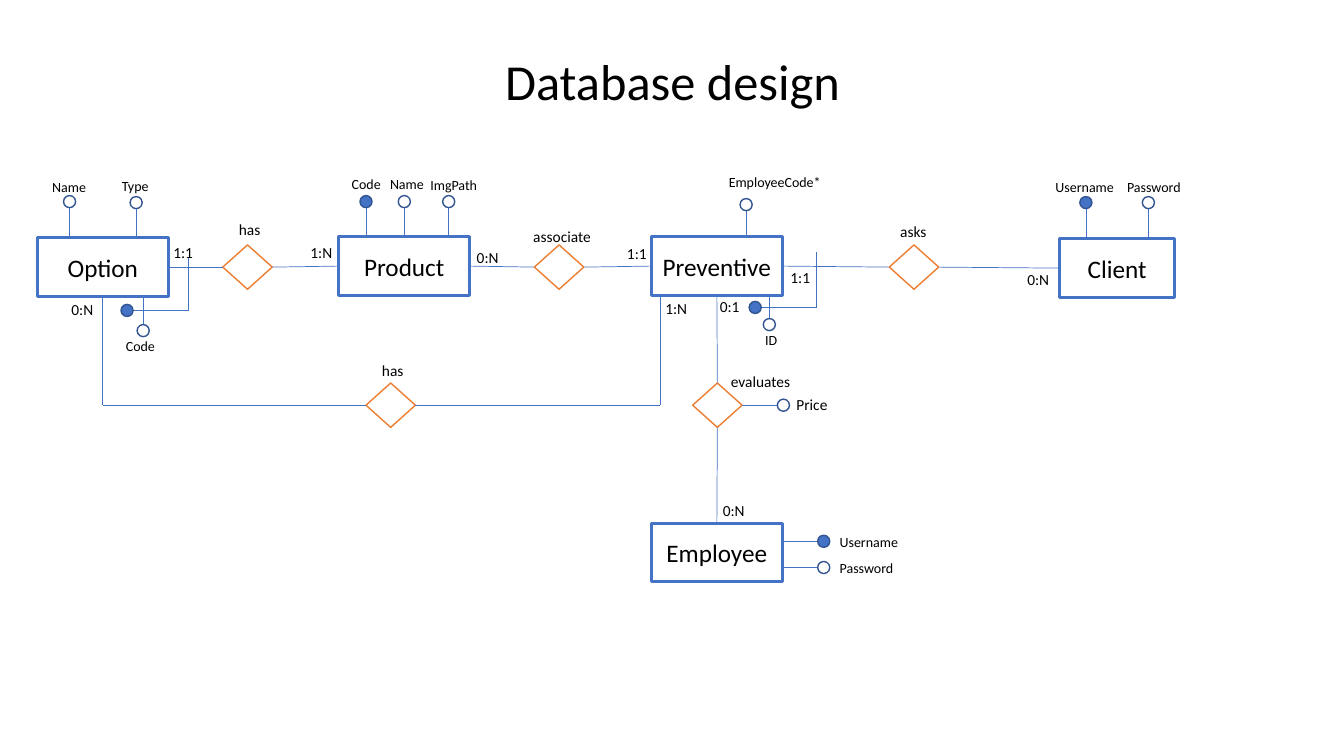
import pptx
import pptx.util
import pptx.dml.color
import pptx.enum.shapes
import pptx.enum.text
import pptx.oxml
from dataclasses import dataclass

SHAPE = pptx.enum.shapes.MSO_SHAPE
ALIGN = pptx.enum.text.PP_ALIGN
MIDDLE = pptx.enum.text.MSO_ANCHOR.MIDDLE
TOP, LEFT, BOTTOM, RIGHT = range(4)


@dataclass(frozen=True)
class Theme:
    """Colours, type sizes, line widths and the font."""
    font: str = "Calibri"
    ink: str = "000000"
    paper: str = "FFFFFF"
    blue: str = "4472C4"
    navy: str = "325491"
    orange: str = "ED7D31"
    title: int = 36
    name: int = 18
    label: int = 11
    small: int = 10
    thick: float = 2.25
    thin: float = 1
    hair: float = 0.5


THEME = Theme()
DOT = 12
BOX_W, BOX_H = 130, 58
GEM_W, GEM_H = 49, 44


def px(*vals):
    """Turn whole px into EMU, at 100 px to the inch."""
    return [pptx.util.Emu(val * 9144) for val in vals]


def rgb(code):
    """Give the colour for a hex code."""
    return pptx.dml.color.RGBColor.from_string(code)


def write(frame, text, size, align=ALIGN.LEFT, **form):
    """Fill a text frame with one line of formatted text."""
    frame.text = text
    for key, val in form.items():
        setattr(frame, key, val)
    par = frame.paragraphs[0]
    par.alignment = align
    font = {"name": THEME.font, "size": pptx.util.Pt(size)}
    for key, val in font.items():
        setattr(par.font, key, val)
    par.font.color.rgb = rgb(THEME.ink)
    return par


def label(slide, x, y, wide, text, size=THEME.label):
    """Place a small label."""
    high = 29 if size == THEME.label else 27
    box = slide.shapes.add_textbox(*px(x, y, wide, high))
    write(box.text_frame, text, size, word_wrap=True)


def shape(slide, kind, box, fill, line, width):
    """Place a filled and outlined shape."""
    item = slide.shapes.add_shape(kind, *px(*box))
    item.shadow.inherit = False
    item.fill.solid()
    item.fill.fore_color.rgb = rgb(fill)
    item.line.color.rgb = rgb(line)
    item.line.width = pptx.util.Pt(width)
    return item


def link(slide, start, end, first=None, last=None):
    """Draw a hairline, joined to (shape, side) pairs where given."""
    line = slide.shapes.add_connector(
        pptx.enum.shapes.MSO_CONNECTOR.STRAIGHT, *px(*start, *end))
    line.line.color.rgb = rgb(THEME.blue)
    line.line.width = pptx.util.Pt(THEME.hair)
    props = line._element.spPr
    props.append(props.makeelement(pptx.oxml.ns.qn("a:effectLst"), {}))
    if first:
        line.begin_connect(*first)
    if last:
        line.end_connect(*last)


def dot(slide, x, y, key=False):
    """Draw an attribute dot centred on a point, solid for a key."""
    half = DOT // 2
    shape(slide, SHAPE.OVAL, (x - half, y - half, DOT, DOT),
          THEME.blue if key else THEME.paper, THEME.navy, THEME.thin)


def entity(slide, box, name, attrs, hook=None):
    """Draw an entity with its attributes and its composite key."""
    left, top, wide, high = box
    item = shape(slide, SHAPE.RECTANGLE, box, THEME.paper, THEME.blue, THEME.thick)
    write(item.text_frame, name, THEME.name, ALIGN.CENTER,
          word_wrap=False, vertical_anchor=MIDDLE)
    for text, key, dx, dy, tx, ty, room in attrs:
        foot = (min(dx, wide), min(max(dy, 0), high))
        link(slide, (left + foot[0], top + foot[1]), (left + dx, top + dy))
        dot(slide, left + dx, top + dy, key)
        label(slide, left + tx, top + ty, room, text, THEME.small)
    if hook:
        dx, dy, far, up = hook
        bend = (left + far, top + dy)
        link(slide, (left + dx, top + dy), bend)
        link(slide, bend, (left + far, top + up))
        dot(slide, left + dx, top + dy, True)
    return item


def gem(slide, x, y, name, dx, dy, room):
    """Draw a relation diamond with its name."""
    item = shape(slide, SHAPE.DIAMOND, (x, y, GEM_W, GEM_H),
                 THEME.paper, THEME.orange, THEME.thin)
    label(slide, x + dx, y + dy, room, name)
    return item


def join(slide, one, side, two, other):
    """Link the side of one shape to the side of another."""
    link(slide, (0, 0), (0, 0), (one, side), (two, other))


def heading(slide, box, text):
    """Place the slide title."""
    title = slide.shapes.title
    for key, val in zip(("left", "top", "width", "height"), px(*box)):
        setattr(title, key, val)
    par = write(title.text_frame, text, THEME.title, ALIGN.CENTER,
                vertical_anchor=MIDDLE, word_wrap=True)
    par.line_spacing = 0.9


def loop(slide, node, option, left, right, floor, ceil):
    """Route the lower relation up to the option and the preventive."""
    link(slide, (0, 0), (left, floor), (node, LEFT))
    link(slide, (left, floor), (left, ceil), None, (option, BOTTOM))
    link(slide, (0, 0), (right, floor), (node, RIGHT))
    link(slide, (right, floor), (right, ceil))


def price(slide, node, x, y):
    """Attach the price attribute to a relation."""
    link(slide, (0, 0), (x, y), (node, RIGHT))
    dot(slide, x, y)
    label(slide, x + 3, y - 15, 58, "Price")


def main():
    """Build the database design slide."""
    deck = pptx.Presentation()
    deck.slide_width, deck.slide_height = px(1333, 750)
    slide = deck.slides.add_slide(deck.slide_layouts[5])
    heading(slide, (92, 40, 1150, 88), "Database design")

    option = entity(slide, (37, 236, BOX_W, BOX_H), "Option", [
        ("Name", False, 32, -36, 5, -64, 57),
        ("Type", False, 98, -35, 74, -65, 57),
        ("Code", False, 105, 92, 78, 94, 57)], (89, 72, 150, 20))
    product = entity(slide, (336, 235, BOX_W, BOX_H), "Product", [
        ("Code", True, 27, -35, 3, -66, 57),
        ("Name", False, 65, -35, 41, -66, 57),
        ("ImgPath", False, 109, -35, 81, -65, 71)])
    quote = entity(slide, (646, 235, BOX_W, BOX_H), "Preventive", [
        ("EmployeeCode*", False, 94, -32, 67, -68, 113),
        ("ID", False, 117, 87, 103, 89, 40)], (103, 70, 164, 15))
    client = entity(slide, (1051, 237, 114, BOX_H), "Client", [
        ("Username", True, 26, -36, -14, -65, 82),
        ("Password", False, 88, -36, 57, -65, 82)])
    staff = entity(slide, (646, 519, BOX_W, BOX_H), "Employee", [
        ("Username", True, 171, 18, 177, 5, 156),
        ("Password", False, 171, 44, 177, 31, 156)])

    for x, name, dx, dy, room, one, two in (
            (221, "has", 6, -30, 43, option, product),
            (530, "associate", -11, -23, 79, product, quote),
            (882, "asks", 1, -28, 50, quote, client)):
        node = gem(slide, x, 243, name, dx, dy, room)
        join(slide, one, RIGHT, node, LEFT)
        join(slide, node, RIGHT, two, LEFT)

    node = gem(slide, 687, 380, "evaluates", 28, -16, 89)
    join(slide, quote, BOTTOM, node, TOP)
    join(slide, node, BOTTOM, staff, TOP)
    price(slide, node, 777, 402)
    loop(slide, gem(slide, 363, 380, "has", 6, -27, 43), option, 102, 655, 402, 294)

    for text, x, y in (("1:1", 162, 236), ("1:N", 298, 236), ("0:N", 463, 241),
                       ("1:1", 612, 237), ("1:1", 774, 261), ("0:N", 1009, 263),
                       ("0:N", 61, 293), ("1:N", 650, 292), ("0:1", 704, 290),
                       ("0:N", 707, 492)):
        label(slide, x, y, 49, text)
    deck.save("out.pptx")


if __name__ == "__main__":
    main()
